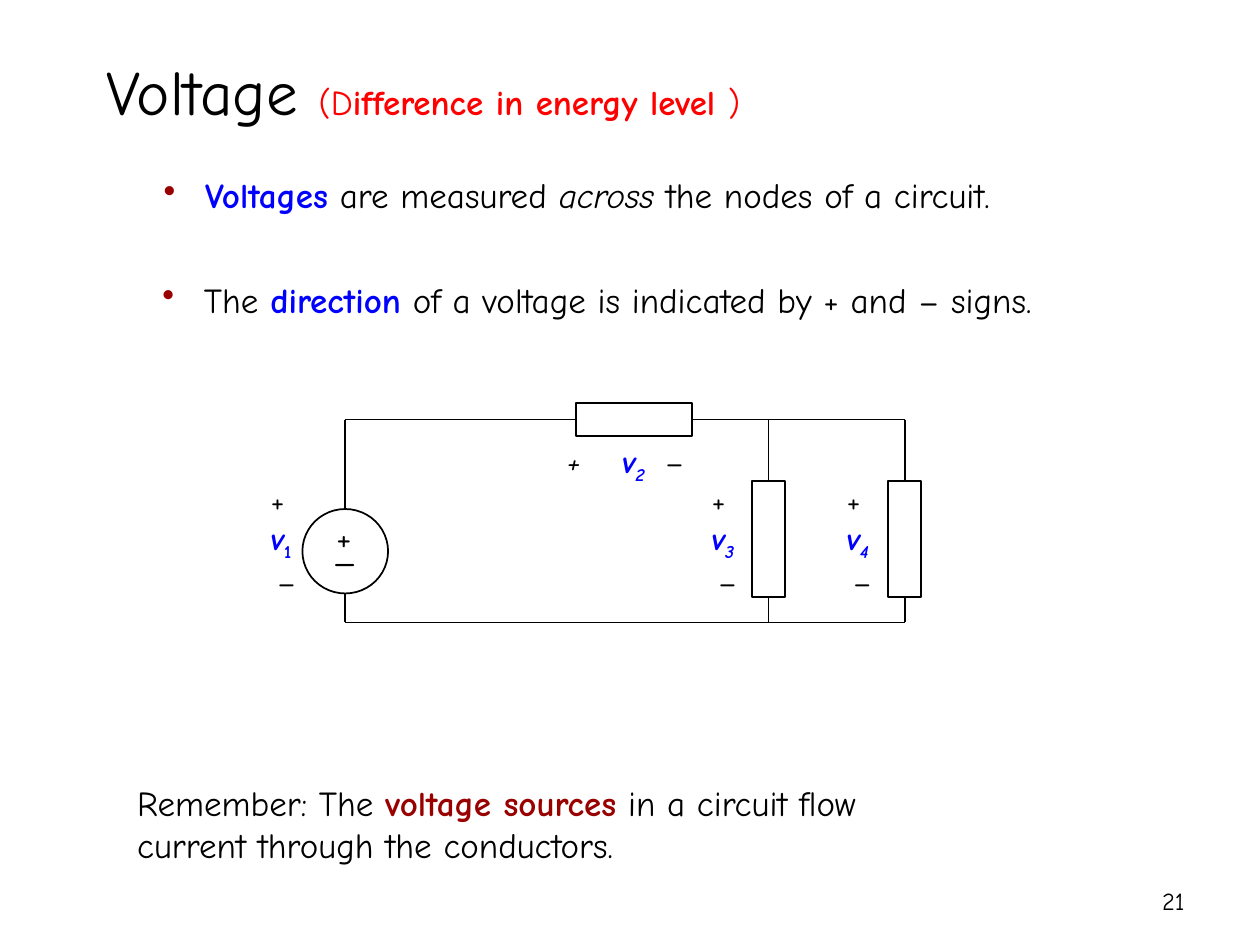
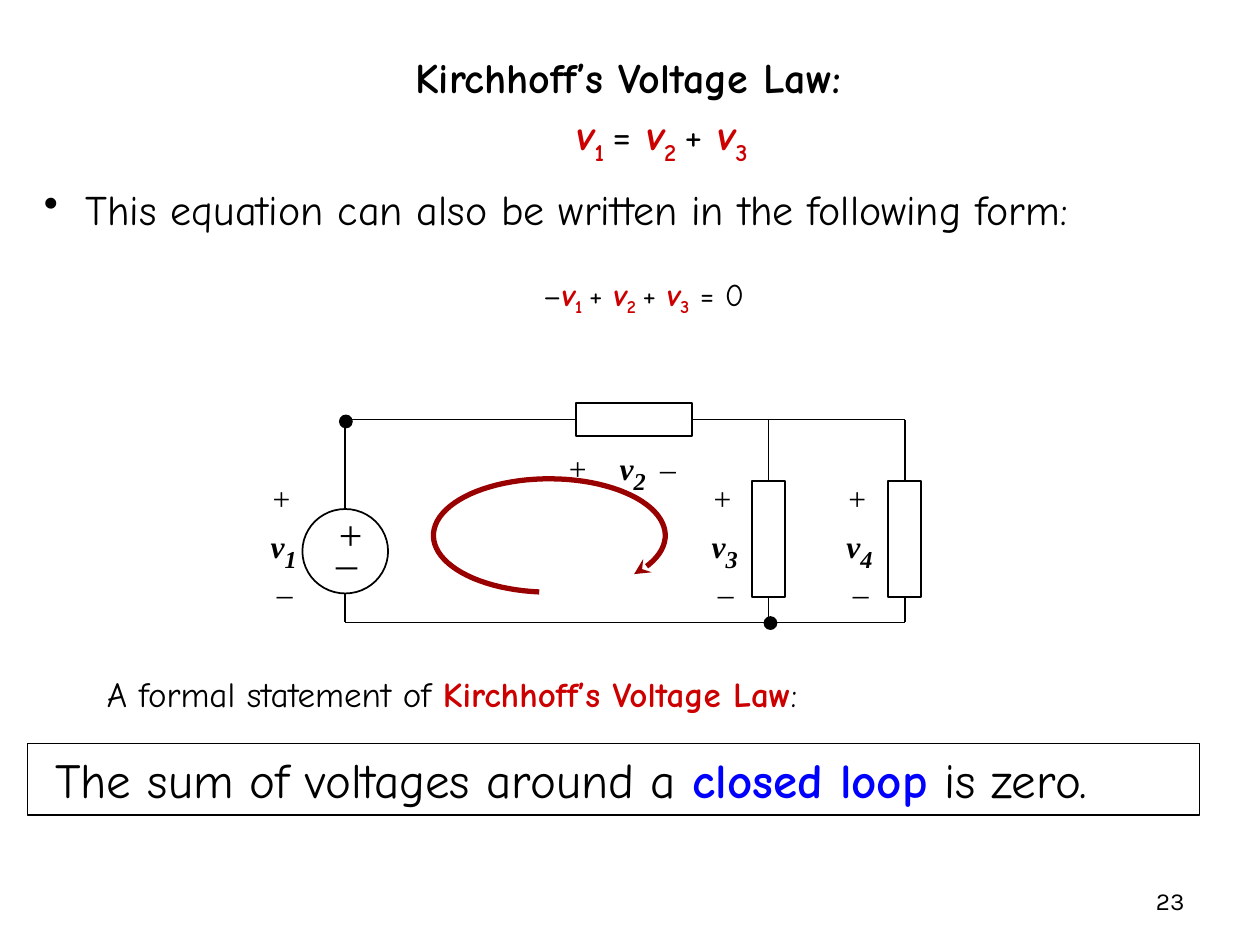
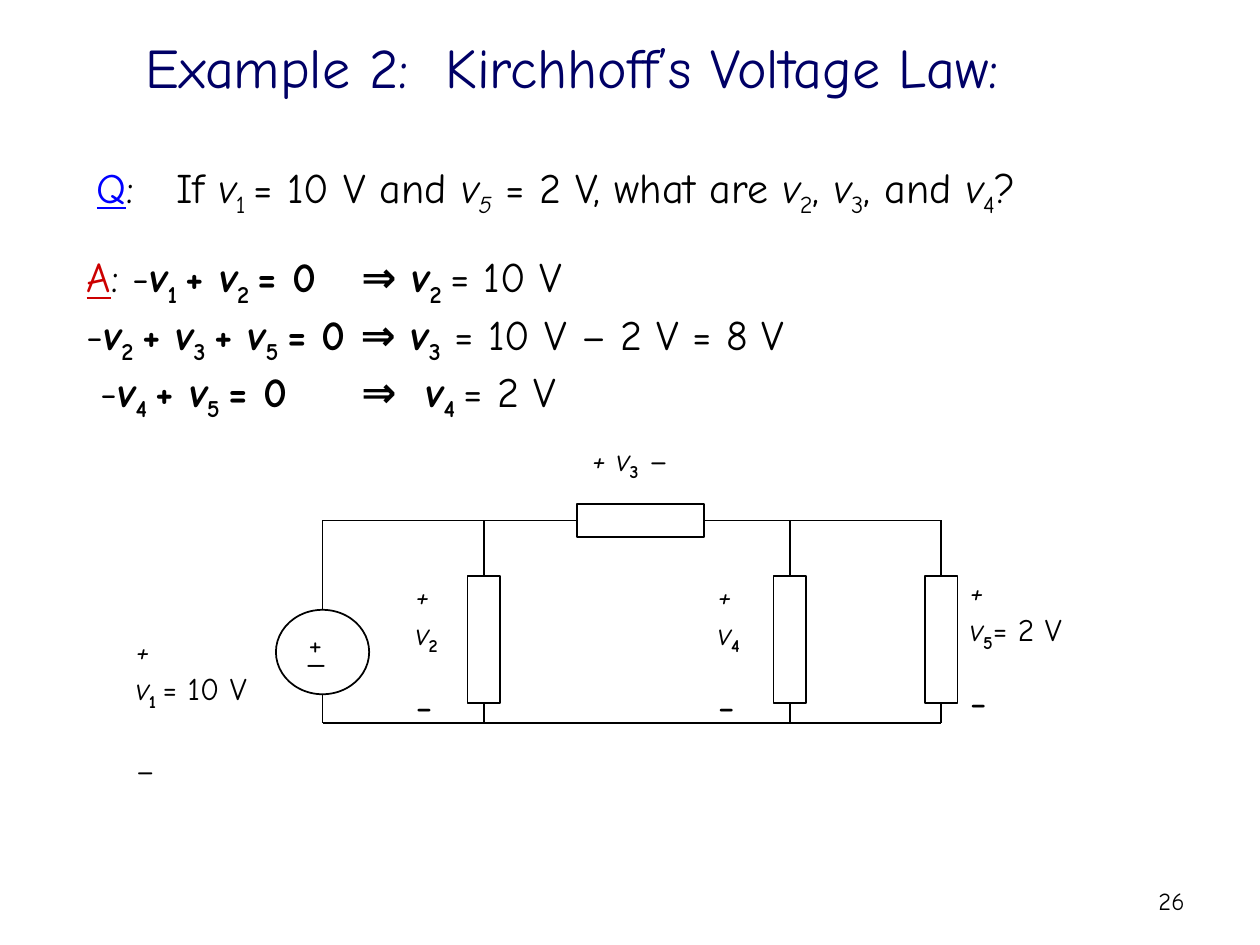
from dataclasses import dataclass
from math import cos, radians, sin
from typing import NamedTuple, Optional

from lxml.etree import SubElement
from pptx import Presentation
from pptx.dml.color import RGBColor
from pptx.enum.shapes import MSO_CONNECTOR, MSO_SHAPE
from pptx.enum.text import MSO_ANCHOR, PP_ALIGN
from pptx.oxml.ns import qn
from pptx.util import Emu, Pt

PX = 9144  # EMU, 100 px to the inch

BLACK = RGBColor(0x00, 0x00, 0x00)
WHITE = RGBColor(0xFF, 0xFF, 0xFF)
RED = RGBColor(0xFF, 0x00, 0x00)
CRIMSON = RGBColor(0xCC, 0x00, 0x00)
MAROON = RGBColor(0x99, 0x00, 0x00)
BLUE = RGBColor(0x00, 0x00, 0xFF)
NAVY = RGBColor(0x00, 0x00, 0x66)

COMIC = "Comic Neue"
KARLA = "Karla"
TIMES = "Times New Roman"

RESISTOR_W = 26
BULLET_HANG = 33
MINUS_INDENT = 5


class Run(NamedTuple):
    text: str
    color: RGBColor = BLACK
    bold: bool = False
    italic: bool = False
    sub: bool = False
    size: Optional[float] = None
    underline: bool = False


class Para(NamedTuple):
    runs: list[Run]
    align: PP_ALIGN = PP_ALIGN.LEFT
    margin: int = 0
    bullet: Optional[RGBColor] = None
    tabs: tuple[int, ...] = ()
    before: float = 0


@dataclass
class Box:
    x: int
    y: int
    w: int
    h: int
    paras: list[Para]
    size: float
    font: str = COMIC
    fill: Optional[RGBColor] = None
    border: Optional[float] = None
    middle: bool = False


class Circuit(NamedTuple):
    source: tuple[int, int, int, int]
    top: int
    bottom: int
    series_x: int
    resistor_len: int
    branch_xs: tuple[int, ...]
    branch_y: int


VOLTAGE_CIRCUIT = Circuit((240, 404, 68, 67), 333, 494, 457, 92, (610, 718), 382)
EXAMPLE_CIRCUIT = Circuit((219, 484, 74, 67), 413, 574, 458, 101, (384, 627, 747), 457)


def px(n: float) -> Emu:
    return Emu(round(n * PX))


def format_para(p, para: Para) -> None:
    p.alignment = para.align
    pPr = p._p.get_or_add_pPr()
    if para.bullet is not None:
        pPr.set("marL", str(px(BULLET_HANG)))
        pPr.set("indent", str(-px(BULLET_HANG)))
        clr = SubElement(pPr, qn("a:buClr"))
        SubElement(clr, qn("a:srgbClr"), val=str(para.bullet))
        SubElement(pPr, qn("a:buChar"), char="•")
    elif para.margin:
        pPr.set("marL", str(px(para.margin)))
    if para.tabs:
        tab_list = SubElement(pPr, qn("a:tabLst"))
        for pos in para.tabs:
            SubElement(tab_list, qn("a:tab"), pos=str(px(pos)), algn="l")
    if para.before:
        p.space_before = Pt(para.before)


def add_run(p, run: Run, size: float, font: str) -> None:
    r = p.add_run()
    r.text = run.text
    f = r.font
    f.name = font
    f.size = Pt(run.size or size)
    f.bold = run.bold
    f.italic = run.italic
    f.underline = run.underline
    f.color.rgb = run.color
    if run.sub:
        r._r.get_or_add_rPr().set("baseline", "-25000")


def add_box(s, box: Box) -> None:
    frame = [px(n) for n in (box.x, box.y, box.w, box.h)]
    if box.fill is None:
        sp = s.shapes.add_textbox(*frame)
    else:
        sp = s.shapes.add_shape(MSO_SHAPE.RECTANGLE, *frame)
        style(sp, box.fill, box.border)
    tf = sp.text_frame
    tf.word_wrap = True
    tf.vertical_anchor = MSO_ANCHOR.MIDDLE if box.middle else MSO_ANCHOR.TOP
    for i, para in enumerate(box.paras):
        p = tf.add_paragraph() if i else tf.paragraphs[0]
        format_para(p, para)
        for run in para.runs:
            add_run(p, run, box.size, box.font)


def style(sp, fill: RGBColor, line_pt: Optional[float]) -> None:
    sp.shadow.inherit = False
    sp.fill.solid()
    sp.fill.fore_color.rgb = fill
    if line_pt is None:
        sp.line.fill.background()
    else:
        sp.line.color.rgb = BLACK
        sp.line.width = Pt(line_pt)


def add_part(s, kind: MSO_SHAPE, x: int, y: int, w: int, h: int,
             fill: RGBColor = WHITE, line_pt: Optional[float] = 1):
    sp = s.shapes.add_shape(kind, px(x), px(y), px(w), px(h))
    style(sp, fill, line_pt)
    return sp


def add_wire(s, x1: int, y1: int, x2: int, y2: int, end=None, site: int = 0) -> None:
    """Draw a wire; its end is joined to a site of the resistor given as end."""
    cxn = s.shapes.add_connector(MSO_CONNECTOR.STRAIGHT, px(x1), px(y1), px(x2), px(y2))
    cxn.line.color.rgb = BLACK
    cxn.line.width = Pt(1)
    SubElement(cxn._element.spPr, qn("a:effectLst"))
    if end is not None:
        cxn.end_connect(end, site)


def draw_circuit(s, c: Circuit) -> None:
    x, y, w, h = c.source
    mid, right = x + w // 2, c.branch_xs[-1]
    half, length = RESISTOR_W // 2, c.resistor_len
    add_part(s, MSO_SHAPE.OVAL, x, y, w, h)
    add_wire(s, mid, c.top, mid, y)
    add_wire(s, mid, y + h, mid, c.bottom)
    add_wire(s, mid, c.bottom, right, c.bottom)

    series = add_part(s, MSO_SHAPE.RECTANGLE, c.series_x, c.top - half, length, RESISTOR_W)
    add_wire(s, mid, c.top, c.series_x, c.top, series, 1)
    add_wire(s, right, c.top, c.series_x + length, c.top, series, 3)

    for bx in c.branch_xs:
        resistor = add_part(s, MSO_SHAPE.RECTANGLE, bx - half, c.branch_y, RESISTOR_W, length)
        add_wire(s, bx, c.top, bx, c.branch_y, resistor, 0)
        add_wire(s, bx, c.bottom, bx, c.branch_y + length, resistor, 2)


def draw_loop_arrow(s) -> None:
    cx, cy, rx, ry = 436, 425, 92, 45
    points = [(px(cx + rx * cos(radians(a))), px(cy + ry * sin(radians(a))))
              for a in range(95, 404, 4)]
    builder = s.shapes.build_freeform(*points[0])
    builder.add_line_segments(points[1:], close=False)
    sp = builder.convert_to_shape()
    sp.shadow.inherit = False
    sp.fill.background()
    sp.line.color.rgb = MAROON
    sp.line.width = Pt(3)
    SubElement(sp.line._get_or_add_ln(), qn("a:tailEnd"), type="stealth")


def volt(index: str, color: RGBColor = BLACK, bold: bool = True,
         sub_bold: Optional[bool] = None, sub_italic: bool = False,
         sub_size: Optional[float] = None) -> list[Run]:
    """The symbol v with its subscript."""
    return [Run("v", color, bold, True),
            Run(index, color, bold if sub_bold is None else sub_bold,
                sub_italic, True, sub_size)]


def polarity(symbol: list[Run], minus: Run, italic: bool = False,
             margin: int = 0, before: float = 0) -> list[Para]:
    """A plus sign, a voltage and a minus sign, one under the other."""
    return [Para([Run("+", italic=italic)]), Para(symbol),
            Para([minus], margin=margin, before=before)]


def source_signs(s, x: int, y: int, drop: int, size: float,
                 font: str = COMIC, italic: bool = False) -> None:
    for sign, top in (("+", y), ("_", y + drop)):
        add_box(s, Box(x, top, 40, 44, [Para([Run(sign, italic=italic)])], size, font))


def new_slide(prs, number: int, font: str = COMIC):
    s = prs.slides.add_slide(prs.slide_layouts[6])
    add_box(s, Box(717, 695, 233, 40, [Para([Run(str(number))], PP_ALIGN.RIGHT)],
                   14, font, middle=True))
    return s


def voltage_slide(prs) -> None:
    s = new_slide(prs, 21)
    title = [Run("Voltage ", size=36), Run("(D", RED),
             Run("ifference in energy level ", RED, True), Run(")", RED)]
    add_box(s, Box(75, 36, 850, 71, [Para(title)], 20, fill=WHITE, middle=True))
    draw_circuit(s, VOLTAGE_CIRCUIT)

    across = [Run("Voltages", BLUE, True), Run(" are measured "),
              Run("across", italic=True), Run(" the nodes of a circuit.")]
    direction = [Run("The "), Run("direction", BLUE, True),
                 Run(" of a voltage is indicated by + and – signs.")]
    add_box(s, Box(120, 133, 733, 44, [Para(across, bullet=MAROON)], 20))
    add_box(s, Box(119, 216, 755, 44, [Para(direction, bullet=MAROON)], 20))
    remember = [Run("Remember: The "), Run("voltage sources", MAROON, True),
                Run(" in a circuit flow")]
    add_box(s, Box(99, 615, 662, 77,
                   [Para(remember), Para([Run("current through the conductors.")])], 20))

    source_signs(s, 257, 404, 11, 20)
    series = [Run("+\t", italic=True), *volt("2", BLUE, sub_italic=True), Run("\t–")]
    add_box(s, Box(440, 346, 120, 40, [Para(series, tabs=(44, 78))], 18))
    for x, index in ((555, "3"), (662, "4"), (205, "1")):
        symbol = volt(index, BLUE, sub_italic=index != "1")
        add_box(s, Box(x, 377, 49, 100,
                       polarity(symbol, Run("–"), margin=MINUS_INDENT), 18))


def law_slide(prs) -> None:
    s = new_slide(prs, 23, KARLA)
    add_box(s, Box(25, 141, 952, 50, [Para(
        [Run("This equation can also be written in the following form:")],
        bullet=BLACK)], 24))

    v1, v2 = volt("1 ", CRIMSON), volt("2 ", CRIMSON)
    v3 = volt("3", CRIMSON)
    equation = [*v1, Run("= "), *v2, Run("+ "), *v3]
    add_box(s, Box(287, 36, 423, 98, [
        Para([Run("Kirchhoff’s Voltage Law:", bold=True)], PP_ALIGN.CENTER),
        Para(equation, PP_ALIGN.CENTER, margin=54, before=4)], 24))
    zero_form = [Run("–"), *v1, Run("+ "), *v2, Run("+ "), *v3, Run(" = 0")]
    add_box(s, Box(421, 213, 203, 40, [Para(zero_form)], 18))

    add_box(s, Box(75, 529, 656, 44, [Para(
        [Run("A formal statement of "), Run("Kirchhoff’s Voltage Law", CRIMSON, True),
         Run(":")])], 20))
    add_box(s, Box(22, 590, 930, 57, [Para(
        [Run("The sum of voltages around a "), Run("closed loop", BLUE, True),
         Run(" is zero.")], margin=12)], 28, fill=WHITE, border=0.75))

    draw_circuit(s, VOLTAGE_CIRCUIT)
    source_signs(s, 257, 399, 11, 24, TIMES, True)
    minus = Run("–", italic=True)
    series = [Run("+\t", italic=True), *volt("2", sub_italic=True, sub_size=24),
              Run("\t–", italic=True)]
    add_box(s, Box(440, 343, 124, 43, [Para(series, tabs=(42, 74))], 18, TIMES))
    for x, index in ((555, "3"), (662, "4"), (205, "1")):
        symbol = volt(index, sub_italic=True, sub_size=24)
        add_box(s, Box(x, 375, 53, 110,
                       polarity(symbol, minus, True, MINUS_INDENT), 18, TIMES))
    for x, y in ((269, 329), (606, 489)):
        add_part(s, MSO_SHAPE.OVAL, x, y, 11, 11, BLACK, None)
    draw_loop_arrow(s)


def example_slide(prs) -> None:
    s = new_slide(prs, 26)
    add_box(s, Box(106, 21, 787, 64,
                   [Para([Run("Example 2:  Kirchhoff’s Voltage Law:", NAVY)])], 32))

    question = [Run("Q", BLUE, underline=True), Run(":\tIf "),
                *volt("1 ", bold=False), Run("= 10 V and "),
                *volt("5", bold=False, sub_italic=True), Run(" = 2 V, what are "),
                *volt("2", bold=False), Run(", "), *volt("3", bold=False),
                Run(", and "), *volt("4", bold=False), Run("?")]
    add_box(s, Box(67, 123, 899, 50, [Para(question, tabs=(63,))], 24))

    plus = Run("+ ", bold=True)
    implies = Run("= 0\t⇒ ", bold=True)
    answers = [
        [Run("A", CRIMSON, underline=True), Run(": -"), *volt("1 "), plus, *volt("2 "),
         implies, *volt("2 "), Run("= 10 V")],
        [Run("-"), *volt("2 "), plus, *volt("3 "), plus, *volt("5 "),
         Run("= 0 ⇒ ", bold=True), *volt("3"), Run(" = 10 V – 2 V = 8 V")],
        [Run(" -"), *volt("4 "), plus, *volt("5 "),
         Run("= 0\t⇒\t", bold=True), *volt("4 "), Run("= 2 V")],
    ]
    add_box(s, Box(59, 194, 733, 131,
                   [Para(runs, tabs=(218, 269)) for runs in answers], 24))

    draw_circuit(s, EXAMPLE_CIRCUIT)
    source_signs(s, 235, 490, 8, 18)
    given = [*volt("1 ", bold=False, sub_bold=True), Run("= 10 V")]
    add_box(s, Box(98, 496, 123, 130, polarity(given, Run("–"), True, before=22), 18))
    low_minus = Run("–", bold=True, sub=True, size=28)
    for x, y, w, index, value in ((320, 452, 43, "2", ""), (560, 452, 43, "4", ""),
                                  (760, 449, 103, "5", "= 2 V")):
        symbol = volt(index, bold=False, sub_bold=True)
        if value:
            symbol.append(Run(value))
        add_box(s, Box(x, y, w, 102, polarity(symbol, low_minus, True), 18))
    series = [Run("+ ", italic=True), *volt("3", bold=False, sub_bold=True), Run(" –")]
    add_box(s, Box(460, 344, 88, 40, [Para(series)], 18))


def main() -> None:
    prs = Presentation()
    prs.slide_width, prs.slide_height = px(1000), px(750)
    voltage_slide(prs)
    law_slide(prs)
    example_slide(prs)
    prs.save("out.pptx")


if __name__ == "__main__":
    main()
